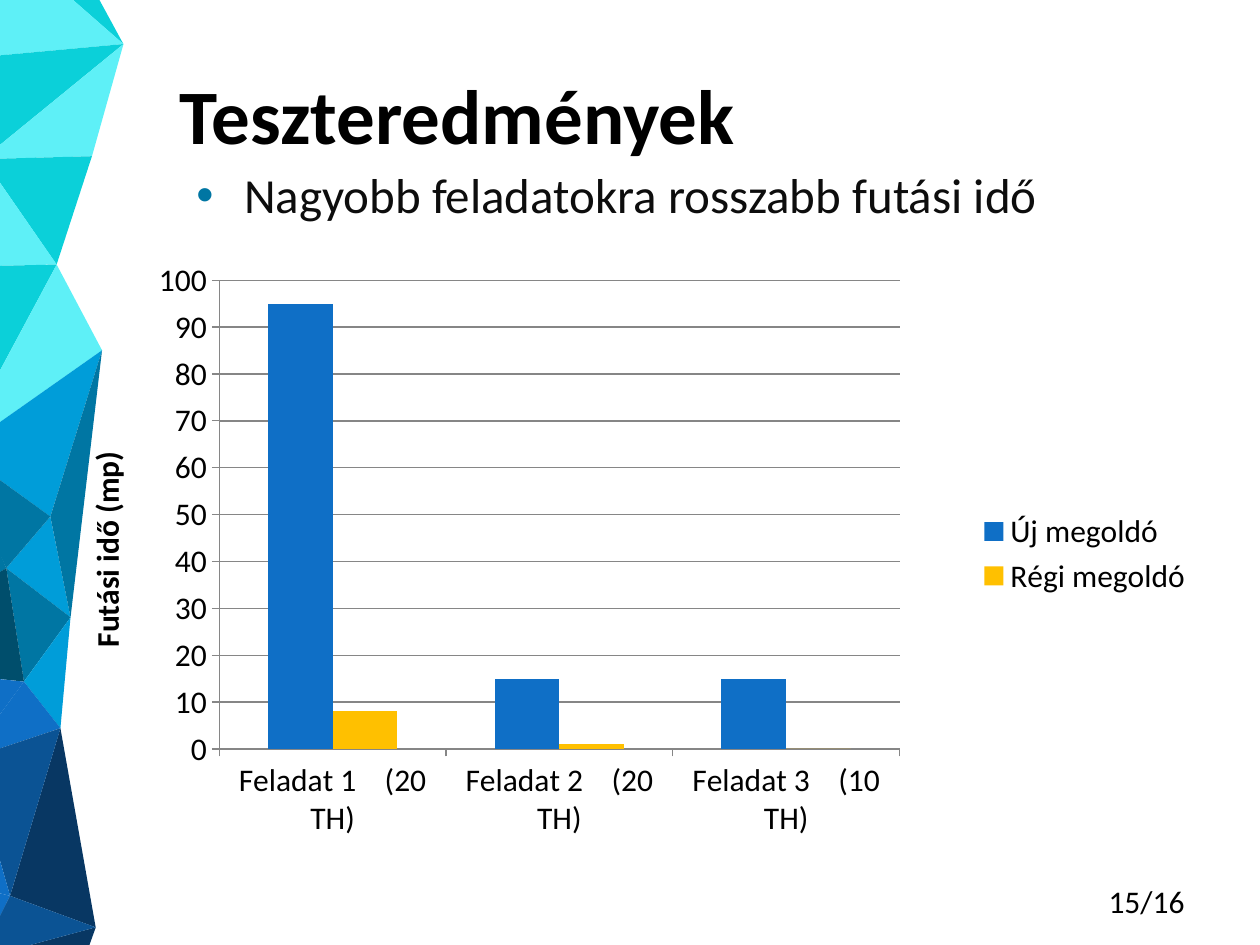
from pptx import Presentation
from pptx.chart.data import CategoryChartData
from pptx.dml.color import RGBColor
from pptx.enum.chart import XL_CHART_TYPE, XL_LEGEND_POSITION, XL_TICK_MARK
from pptx.enum.text import MSO_ANCHOR, PP_ALIGN
from pptx.oxml import parse_xml
from pptx.oxml.ns import nsdecls, qn
from pptx.util import Inches, Pt

CLUSTERED = XL_CHART_TYPE.COLUMN_CLUSTERED
LEGEND_RIGHT = XL_LEGEND_POSITION.RIGHT
TICK_OUTSIDE = XL_TICK_MARK.OUTSIDE
TOP, MIDDLE = MSO_ANCHOR.TOP, MSO_ANCHOR.MIDDLE
LEFT, RIGHT = PP_ALIGN.LEFT, PP_ALIGN.RIGHT

BLACK = RGBColor(0x00, 0x00, 0x00)
INK = RGBColor(0x0D, 0x0D, 0x0D)
GRAY = RGBColor(0x86, 0x86, 0x86)
WHITE = RGBColor(0xFF, 0xFF, 0xFF)
AQUA = RGBColor(0x5E, 0xF0, 0xF7)
TURQUOISE = RGBColor(0x0B, 0xD0, 0xD9)
SKY = RGBColor(0x00, 0x9D, 0xD9)
TEAL = RGBColor(0x00, 0x76, 0xA3)
DEEP_TEAL = RGBColor(0x00, 0x4E, 0x6C)
BLUE = RGBColor(0x0F, 0x6F, 0xC6)
DARK_BLUE = RGBColor(0x0B, 0x53, 0x94)
NAVY = RGBColor(0x08, 0x37, 0x63)
GOLD = RGBColor(0xFF, 0xC0, 0x00)

COLUMNS, ROWS = 100, 75

CREST, SHOULDER, WAIST, ELBOW = (9.8, 3.5), (7.3, 12.4), (4.5, 21), (8.1, 27.8)
HEART, NOTCH, HIP, KNOT = (4, 41), (0.5, 45.1), (5.6, 49), (1.9, 54.1)
KNEE, ANKLE, TOE = (4.8, 57.8), (0.8, 71.1), (7.6, 73.6)


def edge(row):
    """Return the point of the left slide edge at a row."""
    return 0, row


def foot(column):
    """Return the point of the bottom slide edge at a column."""
    return column, ROWS


FACETS = [
    (TURQUOISE, [CREST, (7.9, 0), (5.8, 0)]),
    (AQUA, [edge(4.4), CREST, (5.8, 0), edge(0)]),
    (TURQUOISE, [edge(11.5), CREST, edge(4.4)]),
    (AQUA, [edge(12.6), SHOULDER, CREST, edge(11.5)]),
    (TURQUOISE, [edge(14.5), WAIST, SHOULDER, edge(12.6)]),
    (AQUA, [edge(21.1), WAIST, edge(14.5)]),
    (TURQUOISE, [edge(29.4), WAIST, edge(21.1)]),
    (AQUA, [edge(33.5), ELBOW, WAIST, edge(29.4)]),
    (SKY, [edge(38.1), HEART, ELBOW, edge(33.5)]),
    (TEAL, [edge(45.4), NOTCH, edge(43.9)]),
    (SKY, [HEART, NOTCH, HIP]),
    (TEAL, [NOTCH, KNOT, HIP]),
    (DEEP_TEAL, [edge(53.9), KNOT, NOTCH, edge(45.4)]),
    (BLUE, [edge(56.7), KNOT, edge(53.9)]),
    (SKY, [HIP, KNOT, KNEE]),
    (BLUE, [edge(59.4), KNEE, KNOT, edge(56.7)]),
    (NAVY, [KNEE, ANKLE, TOE]),
    (DARK_BLUE, [edge(68.3), ANKLE, KNEE, edge(59.4)]),
    (BLUE, [edge(70.9), ANKLE, edge(68.3)]),
    (BLUE, [edge(72.7), ANKLE, edge(70.9)]),
    (NAVY, [foot(7.1), TOE, foot(2.4)]),
    (DARK_BLUE, [foot(0), foot(2.4), TOE, ANKLE, edge(72.7)]),
    (TEAL, [ELBOW, HIP, HEART]),
    (TEAL, [edge(44), NOTCH, HEART, edge(38.1)]),
]

CATEGORIES = ["Feladat 1    (20 TH)", "Feladat 2    (20 TH)", "Feladat 3    (10 TH)"]
SOLVERS = [("Új megoldó", [95, 15, 15], BLUE), ("Régi megoldó", [8, 1, 0], GOLD)]


class SlideBuilder:
    """Style and current slide, with a method for each kind of element."""

    font_name = "Calibri"
    body_size = Pt(18)

    def __init__(self, presentation):
        self.column = presentation.slide_width / COLUMNS
        self.row = presentation.slide_height / ROWS
        self.slide = presentation.slides.add_slide(presentation.slide_layouts[6])
        self.slide.background.fill.solid()
        self.slide.background.fill.fore_color.rgb = WHITE

    def place(self, *lengths):
        return [round(length * unit) for length, unit in zip(lengths, (self.column, self.row) * 2)]

    def style(self, font, size, color, bold=False):
        font.name, font.size, font.bold = self.font_name, size, bold
        font.color.rgb = color

    def text(self, box, text, size, color=BLACK, bold=False, anchor=MIDDLE, align=LEFT):
        frame = self.slide.shapes.add_textbox(*self.place(*box)).text_frame
        frame.word_wrap = True
        frame.vertical_anchor = anchor
        paragraph = frame.paragraphs[0]
        paragraph.text = text
        paragraph.alignment = align
        self.style(paragraph.font, size, color, bold)
        return paragraph

    def bullet(self, box, text, size):
        paragraph = self.text(box, text, size, INK, anchor=TOP)
        paragraph.space_before = Pt(6)
        properties = paragraph._p.get_or_add_pPr()
        indent = Inches(0.38)
        properties.set("marL", str(indent))
        properties.set("indent", str(-indent))
        namespace = nsdecls("a")
        for xml in (
            f'<a:buClr {namespace}><a:srgbClr val="{TEAL}"/></a:buClr>',
            f'<a:buFont {namespace} typeface="Arial"/>',
            f'<a:buChar {namespace} char="•"/>',
        ):
            properties.append(parse_xml(xml))

    def mosaic(self, facets):
        group = self.slide.shapes.add_group_shape()
        for color, corners in facets:
            start, *others = [self.place(*corner) for corner in corners]
            builder = group.shapes.build_freeform(*start)
            builder.add_line_segments(others, close=True)
            shape = builder.convert_to_shape()
            shape.shadow.inherit = False
            shape.fill.solid()
            shape.fill.fore_color.rgb = color
            shape.line.fill.background()

    def column_chart(self, box, categories, series_rows, axis_title, plot):
        data = CategoryChartData()
        data.categories = categories
        for name, values, _ in series_rows:
            data.add_series(name, values)
        chart = self.slide.shapes.add_chart(CLUSTERED, *self.place(*box), data).chart
        self.style(chart.font, self.body_size, BLACK)
        chart.has_title = False
        chart.has_legend = True
        chart.legend.position = LEGEND_RIGHT
        chart.legend.include_in_layout = False
        bars = chart.plots[0]
        bars.gap_width, bars.overlap, bars.vary_by_categories = 150, 0, False
        for series, (_, _, color) in zip(bars.series, series_rows):
            series.format.fill.solid()
            series.format.fill.fore_color.rgb = color
        value_axis = chart.value_axis
        value_axis.minimum_scale, value_axis.maximum_scale = 0, 100
        value_axis.major_unit = 10
        value_axis.has_major_gridlines = True
        title = value_axis.axis_title.text_frame.paragraphs[0]
        title.text = axis_title
        self.style(title.font, self.body_size, BLACK, bold=True)
        for axis in (chart.category_axis, value_axis):
            axis.major_tick_mark = TICK_OUTSIDE
        for part in (chart.category_axis, value_axis, value_axis.major_gridlines):
            part.format.line.color.rgb = GRAY
            part.format.line.width = Pt(0.75)
        self.lay_out_plot(chart, plot)

    def lay_out_plot(self, chart, plot):
        area = chart._chartSpace.find(f".//{qn('c:plotArea')}")
        for layout in area.findall(qn("c:layout")):
            area.remove(layout)
        shares = "".join(f'<c:{key} val="{share}"/>' for key, share in zip("xywh", plot))
        area.insert(0, parse_xml(
            f'<c:layout {nsdecls("c")}><c:manualLayout><c:layoutTarget val="inner"/>'
            f'<c:xMode val="edge"/><c:yMode val="edge"/>{shares}</c:manualLayout></c:layout>'
        ))


def main():
    presentation = Presentation()
    presentation.slide_width, presentation.slide_height = Inches(10), Inches(7.5)
    builder = SlideBuilder(presentation)
    builder.text((13.3, 2.8, 86.7, 12.5), "Teszteredmények", Pt(44), bold=True)
    builder.mosaic(FACETS)
    builder.text((71.7, 69.5, 23.3, 4), "15/16", builder.body_size, align=RIGHT)
    builder.bullet((14.6, 12.6, 81.1, 11.4), "Nagyobb feladatokra rosszabb futási idő", Pt(28))
    builder.column_chart(
        (5.7, 20.1, 90, 47.7), CATEGORIES, SOLVERS, "Futási idő (mp)", (0.13, 0.045, 0.6, 0.78)
    )
    presentation.save("out.pptx")


if __name__ == "__main__":
    main()
